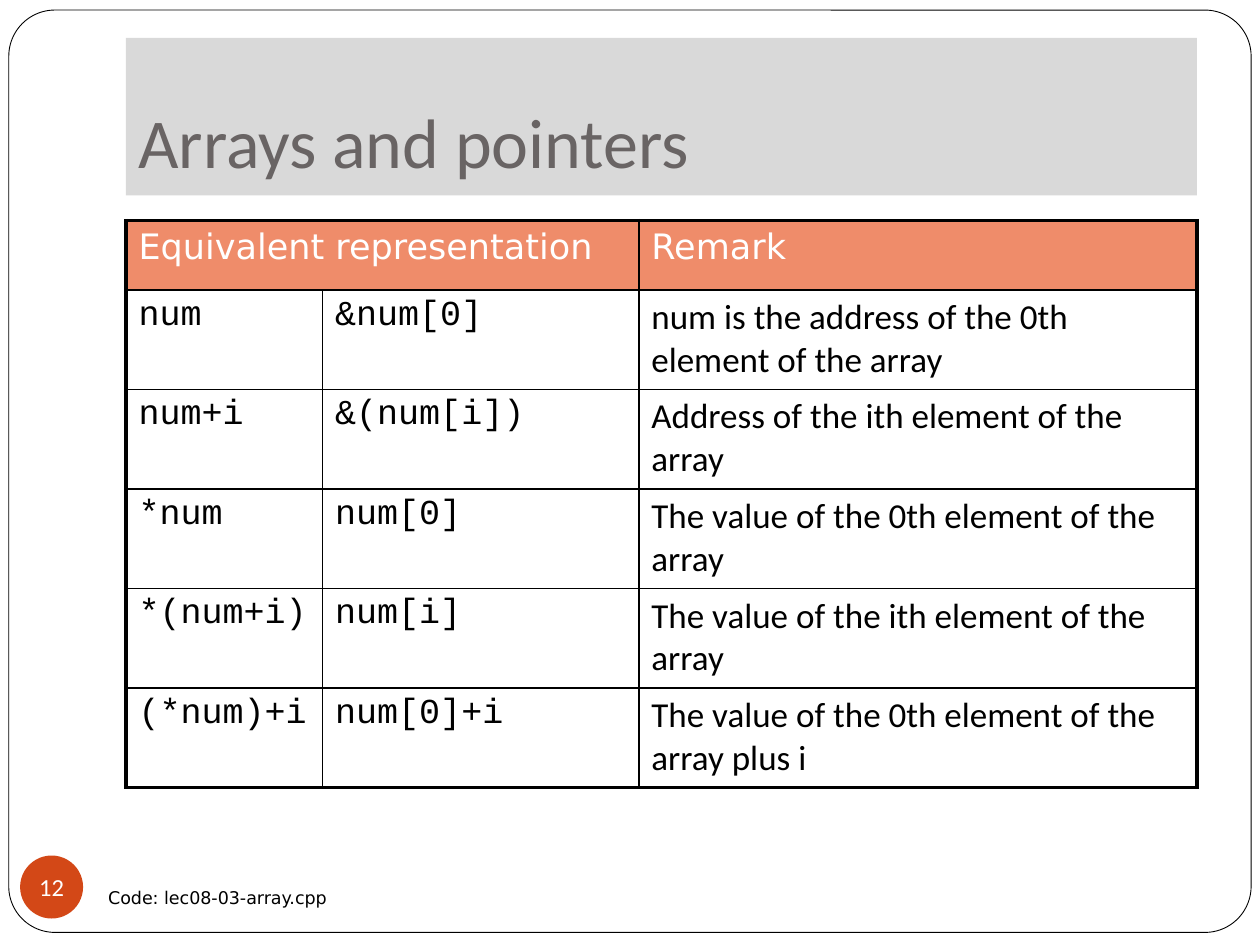
from lxml.etree import SubElement
from pptx import Presentation
from pptx.dml.color import RGBColor
from pptx.enum.shapes import MSO_SHAPE
from pptx.enum.text import MSO_ANCHOR, PP_ALIGN
from pptx.oxml.ns import qn
from pptx.util import Inches, Pt

# Content
TITLE = "Arrays and pointers"
HEADS = ["Equivalent representation", "", "Remark"]
ROWS = [
    ("num", "&num[0]", "num is the address of the 0th element of the array"),
    ("num+i", "&(num[i])", "Address of the ith element of the array"),
    ("*num", "num[0]", "The value of the 0th element of the array"),
    ("*(num+i)", "num[i]", "The value of the ith element of the array"),
    ("(*num)+i", "num[0]+i", "The value of the 0th element of the array plus i"),
]
NUMBER = "12"
NOTE = "Code: lec08-03-array.cpp"

# Layout and look
LEFT, WIDE = 1, 8.5
COLS = [1.56, 2.51, 4.43]
HEAD_H, ROW_H = 0.55, 0.79
FONTS = ["Courier New", "Courier New", "Calibri"]
SANS = "DejaVu Sans"
BLACK, WHITE = "000000", "FFFFFF"
THIN, THICK = 1, 2.25

deck = Presentation()
deck.slide_width, deck.slide_height = Inches(10), Inches(7.5)
slide = deck.slides.add_slide(deck.slide_layouts[6])


def rgb(code):
    return RGBColor.from_string(code)


def write(frame, text, size=20, font="Calibri", color=BLACK, align=PP_ALIGN.LEFT,
          anchor=MSO_ANCHOR.TOP, wrap=True, inset=(0.1, 0.05, 0.1, 0.05)):
    frame.word_wrap = wrap
    frame.vertical_anchor = anchor
    (frame.margin_left, frame.margin_top,
     frame.margin_right, frame.margin_bottom) = map(Inches, inset)
    para = frame.paragraphs[0]
    para.alignment = align
    run = para.add_run()
    run.text = text
    run.font.size, run.font.name = Pt(size), font
    run.font.color.rgb = rgb(color)


def shape(kind, box, fill, line=None):
    item = slide.shapes.add_shape(kind, *map(Inches, box))
    item.shadow.inherit = False
    item.fill.solid()
    item.fill.fore_color.rgb = rgb(fill)
    if line:
        item.line.color.rgb = rgb(line)
        item.line.width = Pt(0.5)
    else:
        item.line.fill.background()
    return item


def border(cell, **widths):
    props = cell._tc.get_or_add_tcPr()
    for side, width in widths.items():
        line = SubElement(props, qn("a:ln" + side), w=str(Pt(width)))
        fill = SubElement(line, qn("a:solidFill"))
        SubElement(fill, qn("a:srgbClr"), val=BLACK)


# Frame and title
frame = shape(MSO_SHAPE.ROUNDED_RECTANGLE, (0.07, 0.08, 9.86, 7.32), WHITE, BLACK)
frame.adjustments[0] = 0.05
band = shape(MSO_SHAPE.RECTANGLE, (LEFT, 0.3, WIDE, 1.25), "D9D9D9")
write(band.text_frame, TITLE, size=40, color="696464",
      anchor=MSO_ANCHOR.BOTTOM, inset=(0.1, 0.05, 0.1, 0.1))

# Table: thick outer edge, thin inner lines
grid = [HEADS] + ROWS
high = HEAD_H + ROW_H * len(ROWS)
table = slide.shapes.add_table(len(grid), len(COLS), Inches(LEFT), Inches(1.75),
                               Inches(WIDE), Inches(high)).table
table.first_row = table.horz_banding = False
for col, width in zip(table.columns, COLS):
    col.width = Inches(width)
for r, texts in enumerate(grid):
    table.rows[r].height = Inches(ROW_H if r else HEAD_H)
    for c, text in enumerate(texts):
        cell = table.cell(r, c)
        border(cell,
               L=THIN if c else THICK,
               R=THICK if c == len(COLS) - 1 else THIN,
               T=THIN if r else THICK,
               B=THICK if r == len(grid) - 1 else THIN)
        if r:
            cell.fill.background()
        else:
            cell.fill.solid()
            cell.fill.fore_color.rgb = rgb("EF8C6A")
        if text:
            write(cell.text_frame, text, font=FONTS[c] if r else SANS,
                  color=BLACK if r else WHITE)
table.cell(0, 0).merge(table.cell(0, 1))

# Slide number and note
disc = shape(MSO_SHAPE.OVAL, (0.16, 6.79, 0.5, 0.5), "D34817")
write(disc.text_frame, NUMBER, size=14, color=WHITE, align=PP_ALIGN.CENTER,
      anchor=MSO_ANCHOR.MIDDLE, wrap=False, inset=(0, 0, 0, 0))
note = slide.shapes.add_textbox(*map(Inches, (0.76, 6.99, 2.02, 0.27)))
write(note.text_frame, NOTE, size=10, font=SANS, wrap=False)

deck.save("out.pptx")
